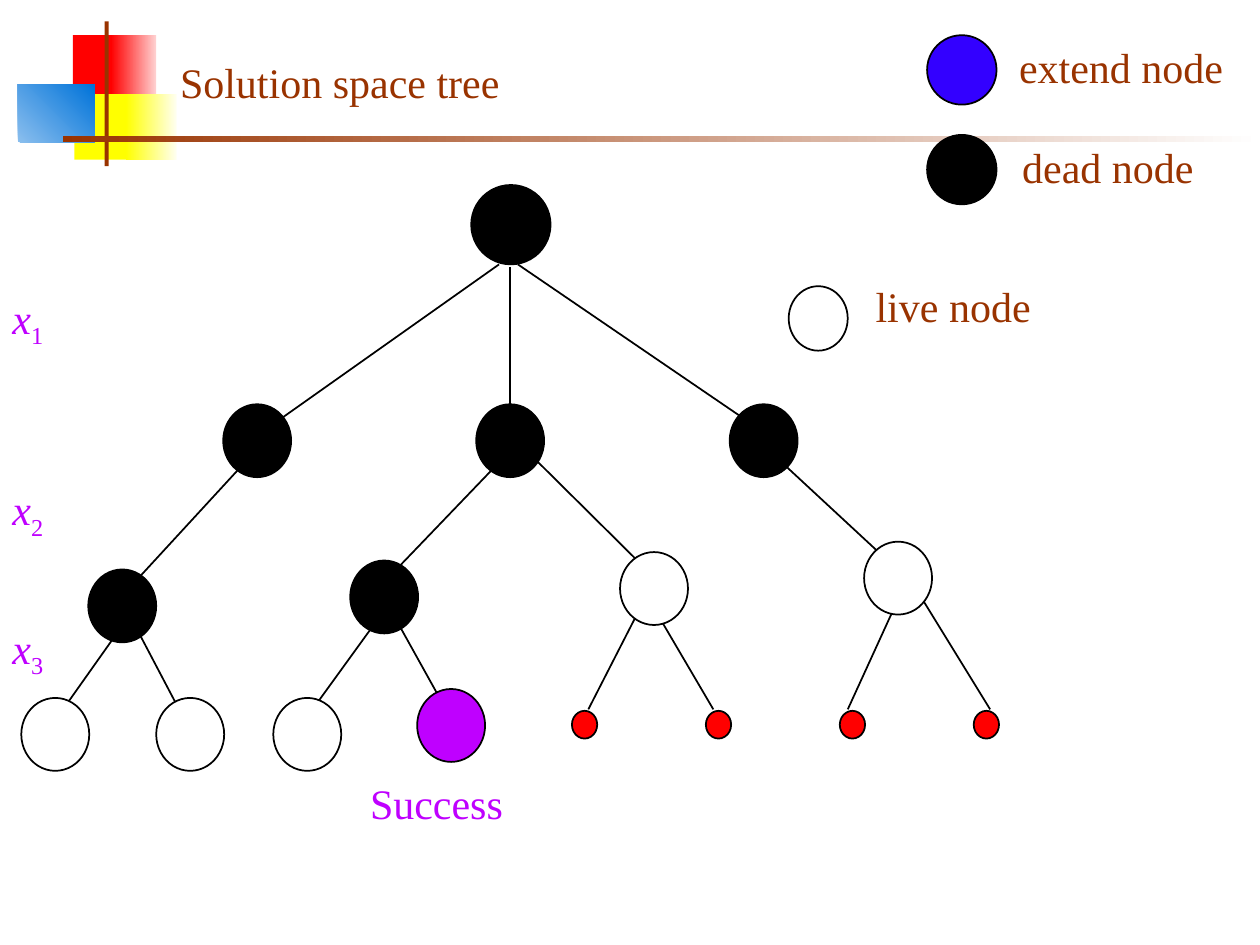
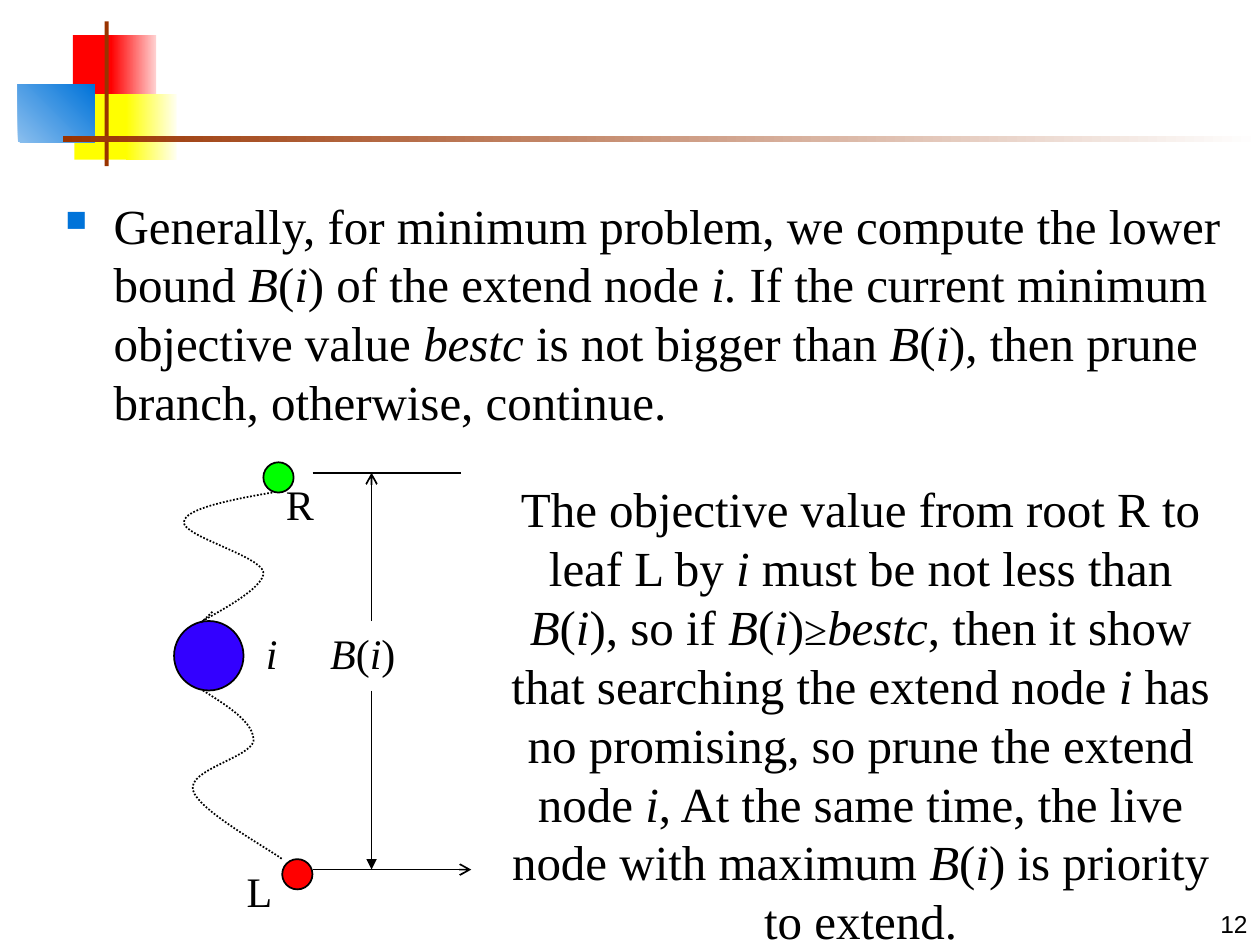
from lxml import etree
from pptx import Presentation
from pptx.dml.color import RGBColor as Rgb
from pptx.enum.dml import MSO_LINE as Dash
from pptx.enum.shapes import MSO_CONNECTOR as Link, MSO_SHAPE as Kind
from pptx.enum.text import MSO_ANCHOR as Anchor, PP_ALIGN as Align
from pptx.oxml.ns import qn
from pptx.util import Cm, Pt

BLACK, WHITE, BROWN = "000000", "FFFFFF", "993300"
RED, GREEN, BLUE, PURPLE = "FF0000", "00FF00", "3300FF", "BF00FF"
SKY, YELLOW = "0073D9", "FFFF00"

BANDS = [
    ((1.47, 0.71, 0.89, 1.32), [RED], 0),
    ((2.24, 0.71, 0.91, 1.32), [RED, "FFD1D1"], 0),
    ((1.5, 1.9, 1.17, 1.32), [YELLOW], 0),
    ((2.54, 1.9, 1.02, 1.32), [YELLOW, "FFFFF0"], 0),
    ((0.36, 1.7, 1.55, 1.17), ["8BBFEE", SKY], 45),
    ((2.11, 0.43, 0.08, 2.92), [BROWN], 0),
    ((1.27, 2.74, 24.13, 0.13), [BROWN, WHITE], 0),
]

EDGES = [
    ((10.06, 5.33), (5.38, 8.64)),
    ((10.44, 5.33), (15.29, 8.64)),
    ((5.03, 9.22), (2.51, 11.96)),
    ((10.11, 9.27), (7.72, 11.76)),
    ((10.62, 9.09), (13.13, 11.58)),
    ((15.65, 9.22), (17.98, 11.38)),
]

LEAF_TOP = 14.3
LEAF_EDGES = [
    ((2.51, 12.55), 1.27), ((2.69, 12.55), 3.61),
    ((7.72, 12.34), 6.3), ((7.9, 12.34), 8.99),
    ((12.95, 12.17), 11.86), ((13.13, 12.17), 14.38),
    ((18.16, 11.96), 17.09), ((18.52, 11.96), 19.96),
]

NODES = {
    BLACK: [(4.5, 8.15), (9.6, 8.15), (14.71, 8.15), (1.78, 11.48), (7.06, 11.3)],
    WHITE: [(12.5, 11.13), (17.42, 10.92), (0.43, 14.07), (3.15, 14.07), (5.51, 14.07)],
    PURPLE: [(8.41, 13.89)],
}

UPPER = [
    (5.49, 9.93), (4.62, 10.08), (3.73, 10.26), (3.71, 10.52),
    (3.66, 10.8), (5.23, 11.2), (5.31, 11.53),
    (5.36, 11.86), (4.27, 12.4), (4.09, 12.52),
    (3.94, 12.65), (4.29, 12.34), (4.29, 12.32),
]
LOWER = [
    (4.09, 13.92), (4.62, 14.25), (5.13, 14.58), (5.11, 14.94),
    (5.05, 15.27), (3.78, 15.52), (3.89, 15.93),
    (3.99, 16.33), (5.38, 17.09), (5.69, 17.32),
]

RULE = (
    "Generally, for minimum problem, we compute the lower bound *B*(*i*) of the "
    "extend node *i. *If the current minimum objective value *bestc* is not bigger "
    "than *B*(*i*), then prune branch, otherwise, continue."
)
REASON = (
    "The objective value from root R to leaf L by* i* must be not less than "
    "*B*(*i*), so if *B*(*i*)**≥*bestc*, then it show that searching the extend "
    "node *i* has no promising, so prune the extend node *i*, At the same time, "
    "the live node with maximum* B*(*i*) is priority to extend."
)


def paint(code):
    """Turn a hex string into a colour."""
    return Rgb.from_string(code)


class Deck:
    """Hold the style and the current slide."""

    font = "Times New Roman"

    def __init__(self):
        """Start an empty deck."""
        self.prs = Presentation()
        self.prs.slide_width, self.prs.slide_height = Cm(25.4), Cm(19.05)

    def page(self):
        """Add a slide with the corner blocks and the rule."""
        self.shapes = self.prs.slides.add_slide(self.prs.slide_layouts[6]).shapes
        for box, tones, angle in BANDS:
            self.band(box, tones, angle)

    def band(self, box, tones, angle):
        """Draw a plain or graded rectangle without an outline."""
        item = self.shapes.add_shape(Kind.RECTANGLE, *map(Cm, box))
        item.shadow.inherit = False
        item.line.fill.background()
        if len(tones) == 1:
            item.fill.solid()
            item.fill.fore_color.rgb = paint(tones[0])
            return
        item.fill.gradient()
        item.fill.gradient_angle = angle
        for stop, tone in zip(item.fill.gradient_stops, tones):
            stop.color.rgb = paint(tone)

    def pen(self, item, width=1):
        """Give a shape a black line."""
        item.line.color.rgb = paint(BLACK)
        item.line.width = Pt(width)

    def node(self, left, top, wide, high, tone):
        """Draw a filled circle or oval."""
        item = self.shapes.add_shape(Kind.OVAL, Cm(left), Cm(top), Cm(wide), Cm(high))
        item.shadow.inherit = False
        item.fill.solid()
        item.fill.fore_color.rgb = paint(tone)
        self.pen(item)

    def edge(self, start, end, head=None, width=1):
        """Draw a straight line, with an arrowhead at its end if named."""
        item = self.shapes.add_connector(Link.STRAIGHT, *map(Cm, start + end))
        self.pen(item, width)
        if head:
            etree.SubElement(item.line._get_or_add_ln(), qn("a:tailEnd"), type=head)
        etree.SubElement(item._element.spPr, qn("a:effectLst"))

    def curve(self, knots, steps=16):
        """Draw a dotted chain of cubic curves."""
        dots = []
        for at in range(0, len(knots) - 1, 3):
            for step in range(1, steps + 1):
                t = step / steps
                u = 1 - t
                parts = (u ** 3, 3 * u * u * t, 3 * u * t * t, t ** 3)
                dots.append(tuple(
                    Cm(sum(w * k[axis] for w, k in zip(parts, knots[at:at + 4])))
                    for axis in (0, 1)
                ))
        pen = self.shapes.build_freeform(*map(Cm, knots[0]))
        pen.add_line_segments(dots, close=False)
        item = pen.convert_to_shape()
        item.shadow.inherit = False
        item.fill.background()
        self.pen(item)
        item.line.dash_style = Dash.ROUND_DOT

    def bullet(self, par):
        """Give a paragraph a square bullet and a hanging indent."""
        props = par._p.get_or_add_pPr()
        props.set("marL", str(Cm(0.97)))
        props.set("indent", str(-Cm(0.97)))
        tone = etree.SubElement(props, qn("a:buClr"))
        etree.SubElement(tone, qn("a:srgbClr"), val=SKY)
        etree.SubElement(props, qn("a:buSzPct"), val="60000")
        etree.SubElement(props, qn("a:buChar"), char="■")

    def text(self, box, words, tone=BLACK, size=24, align=Align.LEFT,
             anchor=Anchor.TOP, wrap=True, font=font, mark=False):
        """Write a paragraph in which stars switch italics on and off."""
        frame = self.shapes.add_textbox(*map(Cm, box)).text_frame
        frame.word_wrap, frame.vertical_anchor = wrap, anchor
        par = frame.paragraphs[0]
        if mark:
            self.bullet(par)
        par.alignment = align
        par.font.name, par.font.size = font, Pt(size)
        par.font.color.rgb = paint(tone)
        for spot, part in enumerate(words.split("*")):
            if part:
                run = par.add_run()
                run.text = part
                if spot % 2:
                    run.font.italic = True
                if part == "≥":
                    run.font.size = Pt(24)
        return par

    def label(self, left, top, wide, words, tone=BLACK):
        """Write a centred one-line label."""
        self.text((left, top, wide, 1.27), words, tone, align=Align.CENTER, wrap=False)

    def level(self, top, index):
        """Name a tree level with an indexed x."""
        par = self.text((0, top, 1.27, 1.42), f"*x*{index}", PURPLE)
        par.runs[1]._r.get_or_add_rPr().set("baseline", "-25000")


def tree(deck):
    """Build the solution space tree."""
    deck.page()
    deck.text((3.38, 0.64, 21.64, 2.03), "Solution space tree", BROWN,
              anchor=Anchor.MIDDLE)
    for start, end in EDGES:
        deck.edge(start, end)
    for start, left in LEAF_EDGES:
        deck.edge(start, (left, LEAF_TOP))
    deck.edge((10.29, 5.38), (10.29, 8.71), width=1.25)
    deck.node(9.5, 3.73, 1.6, 1.6, BLACK)
    for tone, spots in NODES.items():
        for left, top in spots:
            deck.node(left, top, 1.37, 1.47, tone)
    for spot in range(4):
        deck.node(11.53 + 2.7 * spot, 14.33, 0.51, 0.56, RED)
    deck.node(18.69, 0.71, 1.4, 1.4, BLUE)
    deck.node(18.69, 2.72, 1.4, 1.4, BLACK)
    deck.node(15.9, 5.77, 1.19, 1.3, WHITE)
    deck.label(20.29, 0.71, 4.62, "extend node", BROWN)
    deck.label(20.29, 2.72, 4.09, "dead node", BROWN)
    deck.label(17.4, 5.54, 3.63, "live node", BROWN)
    for index, top in enumerate((5.77, 9.63, 12.42), 1):
        deck.level(top, index)
    deck.text((7.21, 15.54, 3.91, 1.27), "Success", PURPLE)


def bound(deck):
    """Build the slide on the lower bound."""
    deck.page()
    deck.text((20.12, 17.78, 5.28, 1.27), "12", size=14, align=Align.RIGHT,
              anchor=Anchor.BOTTOM, font="Arial")
    deck.text((1.07, 3.81, 23.83, 15.24), RULE, size=28, mark=True)
    deck.node(5.31, 9.32, 0.61, 0.61, GREEN)
    deck.node(3.51, 12.52, 1.4, 1.4, BLUE)
    deck.node(5.69, 17.32, 0.61, 0.61, RED)
    deck.curve(UPPER)
    deck.curve(LOWER)
    deck.edge((6.3, 9.53), (9.3, 9.53))
    deck.edge((6.3, 17.53), (9.5, 17.53), "arrow")
    deck.edge((7.49, 12.52), (7.49, 9.53), "arrow")
    deck.edge((7.49, 13.92), (7.49, 17.53), "triangle")
    deck.label(5.11, 12.52, 0.74, "*i*")
    deck.label(6.4, 12.52, 1.83, "*B*(*i*)")
    deck.label(5.51, 9.53, 1.07, "R")
    deck.label(4.72, 17.32, 1.02, "L")
    deck.text((9.91, 9.53, 14.88, 9.75), REASON, size=28, align=Align.CENTER)


def main():
    """Build and save the deck."""
    deck = Deck()
    tree(deck)
    bound(deck)
    deck.prs.save("out.pptx")


if __name__ == "__main__":
    main()
